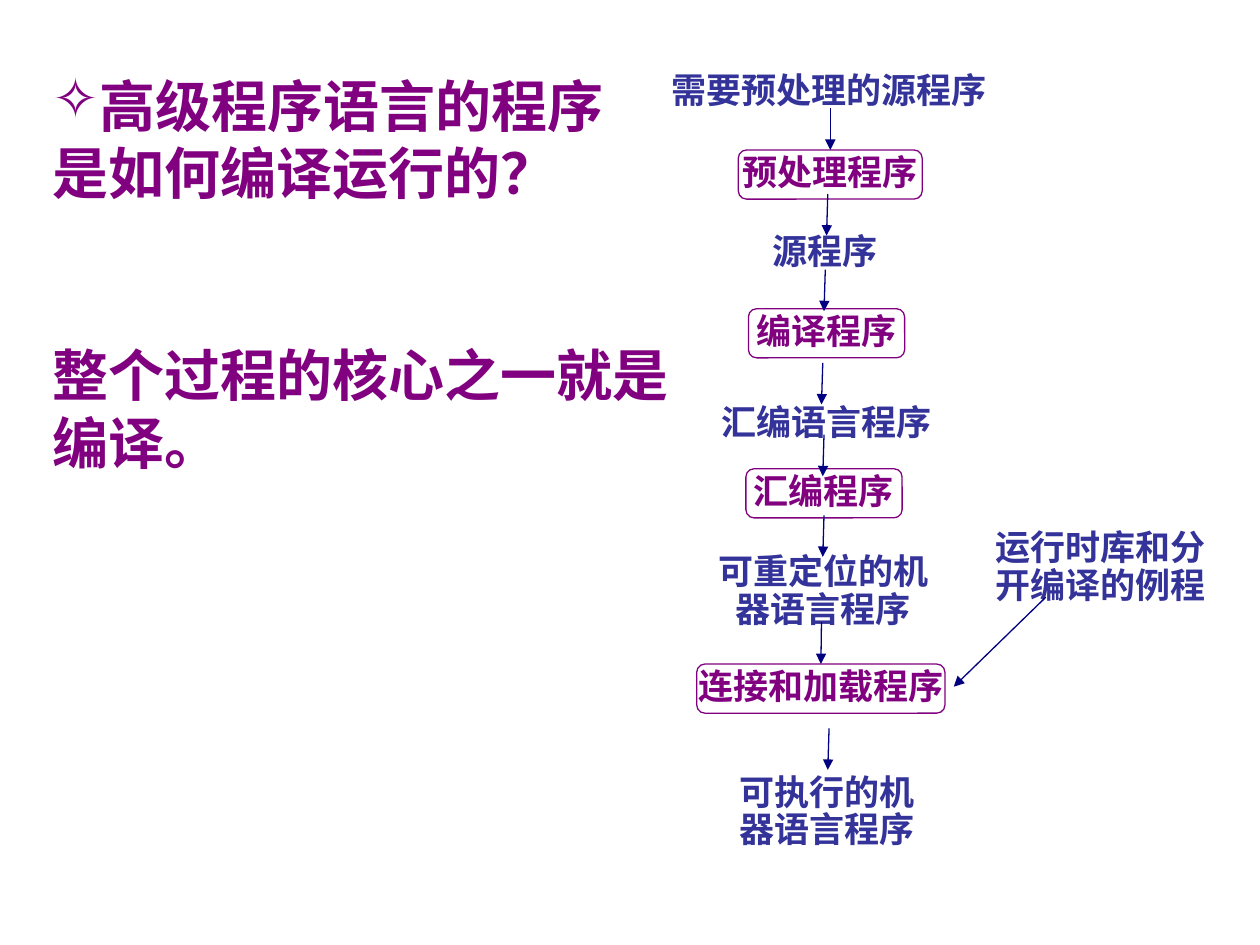
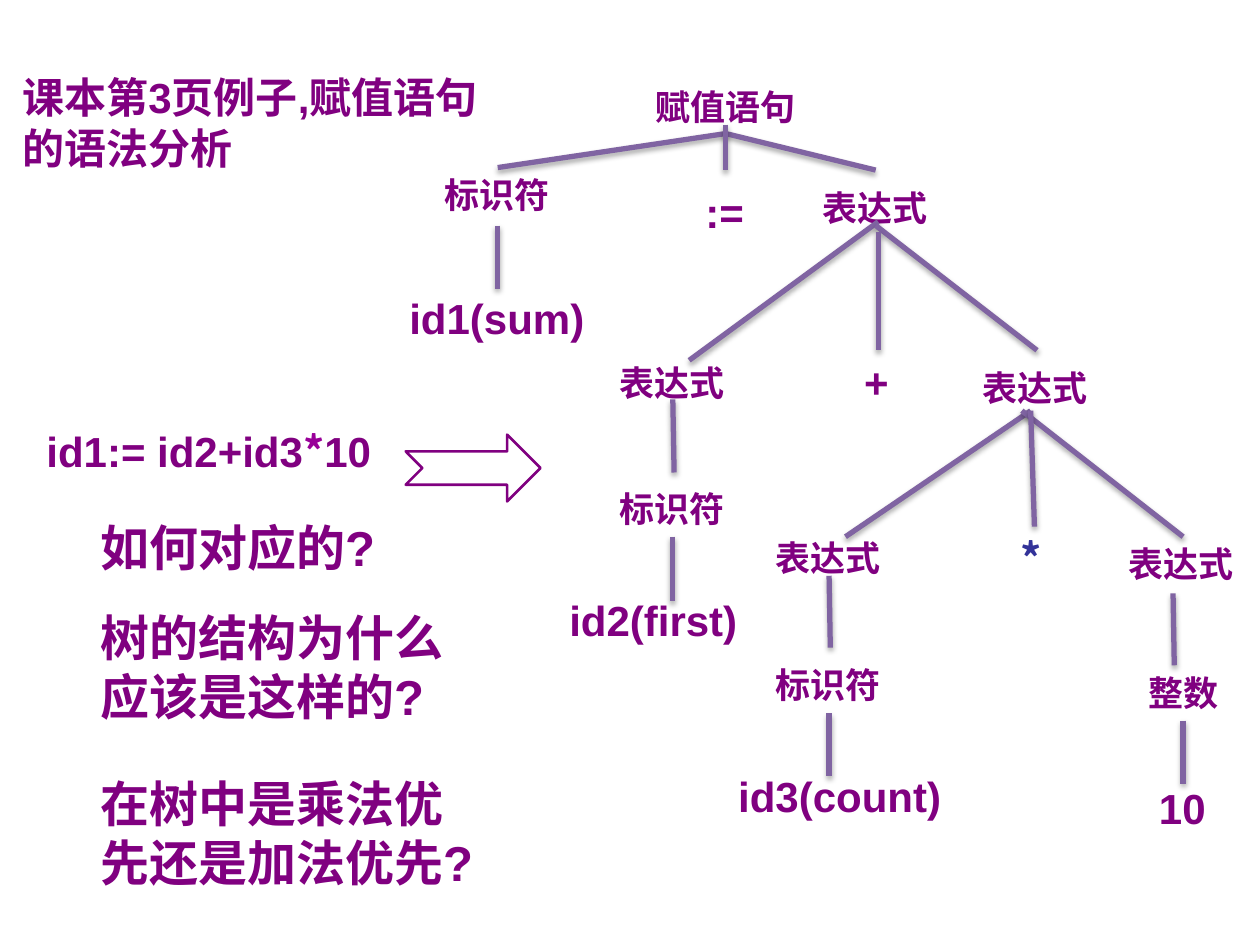
import lxml.etree
import pptx
import pptx.dml.color
import pptx.enum.shapes
import pptx.enum.text
import pptx.oxml.ns
import pptx.util

Inches = pptx.util.Inches
Pt = pptx.util.Pt
RGBColor = pptx.dml.color.RGBColor
MSO_SHAPE = pptx.enum.shapes.MSO_SHAPE
PP_ALIGN = pptx.enum.text.PP_ALIGN
qn = pptx.oxml.ns.qn

PURPLE = RGBColor(0x80, 0x00, 0x80)
VIOLET = RGBColor(0x99, 0x00, 0x99)
INDIGO = RGBColor(0x33, 0x33, 0x99)
NAVY = RGBColor(0x00, 0x00, 0x80)
BRANCH = RGBColor(0x80, 0x64, 0xA2)
WHITE = RGBColor(0xFF, 0xFF, 0xFF)
LATIN_FONT = "Arial"
CJK_FONT = "Noto Sans CJK SC"


class Deck:
    """Holds the presentation, its style and the slide being built."""

    def __init__(self):
        self.presentation = pptx.Presentation()
        self.presentation.slide_width = Inches(10)
        self.presentation.slide_height = Inches(7.5)
        self.slide = None

    def add_slide(self):
        self.slide = self.presentation.slides.add_slide(self.presentation.slide_layouts[6])

    def style(self, font, size, color, name=LATIN_FONT):
        font.size = Pt(size)
        font.bold = True
        font.name = name
        font.color.rgb = color

    def text(self, content, left, top, width, height, size=20, color=PURPLE,
             name=LATIN_FONT, wrap=True, centered=False):
        box = self.slide.shapes.add_textbox(Inches(left), Inches(top), Inches(width), Inches(height))
        frame = box.text_frame
        frame.text = content
        frame.word_wrap = wrap
        frame.auto_size = pptx.enum.text.MSO_AUTO_SIZE.SHAPE_TO_FIT_TEXT
        for paragraph in frame.paragraphs:
            if centered:
                self.center(paragraph)
            for run in paragraph.runs:
                self.style(run.font, size, color, name)
        return frame

    def center(self, paragraph):
        paragraph.alignment = PP_ALIGN.CENTER
        paragraph.line_spacing = 0.9

    def bullet(self, paragraph, character):
        properties = paragraph._p.get_or_add_pPr()
        color = lxml.etree.SubElement(properties, qn("a:buClr"))
        lxml.etree.SubElement(color, qn("a:srgbClr"), val=str(PURPLE))
        lxml.etree.SubElement(properties, qn("a:buChar"), char=character)

    def product(self, content, left, top, width, height=0.4, wrap=True):
        self.text(content, left, top, width, height, color=INDIGO, wrap=wrap, centered=True)

    def shape(self, kind, left, top, width, height, line_width):
        shape = self.slide.shapes.add_shape(
            kind, Inches(left), Inches(top), Inches(width), Inches(height))
        shape.shadow.inherit = False
        shape.line.color.rgb = PURPLE
        shape.line.width = Pt(line_width)
        return shape

    def tool(self, content, left, top, width):
        shape = self.shape(MSO_SHAPE.ROUNDED_RECTANGLE, left, top, width, 0.39, 0.75)
        shape.fill.solid()
        shape.fill.fore_color.rgb = WHITE
        frame = shape.text_frame
        frame.text = content
        frame.word_wrap = False
        frame.vertical_anchor = pptx.enum.text.MSO_ANCHOR.MIDDLE
        paragraph = frame.paragraphs[0]
        self.center(paragraph)
        self.style(paragraph.runs[0].font, 20, PURPLE)
        return shape

    def line(self, start, end, color, width):
        connector = self.slide.shapes.add_connector(
            pptx.enum.shapes.MSO_CONNECTOR.STRAIGHT, *map(Inches, start + end))
        connector.line.color.rgb = color
        connector.line.width = Pt(width)
        effects = lxml.etree.SubElement(connector._element.spPr, qn("a:effectLst"))
        return connector, effects

    def arrow(self, start, end, target=None):
        connector, _ = self.line(start, end, NAVY, 0.75)
        lxml.etree.SubElement(connector.line._get_or_add_ln(), qn("a:tailEnd"), type="triangle")
        if target is not None:
            connector.end_connect(target, 0)

    def branch(self, start, end):
        _, effects = self.line(start, end, BRANCH, 3)
        shadow = lxml.etree.SubElement(
            effects, qn("a:outerShdw"), blurRad=str(Pt(3.1)), dist=str(Pt(1.8)),
            dir="5400000", rotWithShape="0")
        color = lxml.etree.SubElement(shadow, qn("a:srgbClr"), val="000000")
        lxml.etree.SubElement(color, qn("a:alpha"), val="35000")


def build_compilation_flow(deck):
    deck.add_slide()
    question = deck.text(
        "高级程序语言的程序\n是如何编译运行的？\n整个过程的核心之一就是\n编译。",
        0.32, 0.52, 9.59, 4.17, size=32)
    deck.bullet(question.paragraphs[0], "✧")
    question.paragraphs[2].space_before = Pt(77)

    preprocessor = deck.tool("预处理程序", 5.86, 1.19, 1.46)
    deck.tool("编译程序", 5.94, 2.45, 1.24)
    deck.tool("汇编程序", 5.92, 3.72, 1.24)
    linker = deck.tool("连接和加载程序", 5.53, 5.27, 1.97)

    deck.product("需要预处理的源程序", 5.07, 0.53, 3.02)
    deck.product("源程序", 5.86, 1.81, 1.38)
    deck.product("汇编语言程序", 5.62, 3.17, 1.88, wrap=False)
    deck.product("可重定位的机器语言程序", 5.56, 4.35, 1.95, 0.7)
    deck.product("可执行的机器语言程序", 5.7, 6.1, 1.73, 0.7)
    deck.product("运行时库和分开编译的例程", 7.76, 4.16, 1.95, 0.7)

    for left, top, target in [
        (6.59, 0.86, preprocessor), (6.57, 1.54, None), (6.55, 2.14, None),
        (6.53, 2.88, None), (6.54, 3.45, None), (6.54, 4.09, None),
        (6.52, 4.94, linker), (6.58, 5.78, None),
    ]:
        deck.arrow((left, top), (left - 0.01, top + 0.33), target)
    deck.arrow((8.3, 4.74), (7.57, 5.45))


def build_syntax_tree(deck):
    deck.add_slide()
    deck.text("课本第3页例子,赋值语句的语法分析", 0.08, 0.52, 3.97, 0.91, size=24)

    statement = deck.text("", 0.27, 3.33, 3.16, 0.58).paragraphs[0]
    for content, color, name in [
        ("id1:= id2+id3", PURPLE, LATIN_FONT),
        ("*", VIOLET, CJK_FONT),
        ("10", PURPLE, LATIN_FONT),
    ]:
        run = statement.add_run()
        run.text = content
        deck.style(run.font, 24, color, name)

    for content, left, top, width in [
        ("赋值语句", 5.1, 0.63, 1.32), ("标识符", 3.43, 1.33, 1.04),
        ("表达式", 6.43, 1.43, 1.04), ("表达式", 4.82, 2.82, 1.04),
        ("表达式", 7.7, 2.86, 1.04), ("标识符", 4.82, 3.82, 1.04),
        ("表达式", 6.06, 4.21, 1.04), ("表达式", 8.86, 4.26, 1.04),
        ("标识符", 6.06, 5.22, 1.04), ("整数", 9.02, 5.28, 0.76),
    ]:
        deck.text(content, left, top, width, 0.44, wrap=False)

    for content, left, top, width in [
        (":=", 5.5, 1.43, 0.51), ("id1(sum)", 3.15, 2.27, 1.59),
        ("+", 6.76, 2.78, 0.39), ("id2(first)", 4.42, 4.67, 1.53),
        ("id3(count)", 5.76, 6.07, 1.81), ("10", 9.1, 6.16, 0.57),
    ]:
        deck.text(content, left, top, width, 0.5, size=24, wrap=False)
    deck.text("*", 8, 4.18, 0.37, 0.5, size=24, color=INDIGO, name=CJK_FONT, wrap=False)

    for start, end in [
        ((5.76, 1.06), (3.95, 1.33)), ((5.76, 1.06), (6.95, 1.35)),
        ((5.76, 0.99), (5.76, 1.35)), ((3.95, 1.79), (3.95, 2.29)),
        ((6.97, 1.76), (5.47, 2.86)), ((6.95, 1.79), (8.23, 2.78)),
        ((6.97, 1.84), (6.97, 2.78)), ((5.34, 3.17), (5.35, 3.75)),
        ((5.34, 4.26), (5.34, 4.77)), ((8.18, 3.26), (6.71, 4.26)),
        ((8.11, 3.26), (9.39, 4.26)), ((8.18, 3.26), (8.21, 4.18)),
        ((6.58, 4.57), (6.59, 5.14)), ((6.58, 5.66), (6.58, 6.16)),
        ((9.31, 4.71), (9.32, 5.28)), ((9.39, 5.72), (9.39, 6.22)),
    ]:
        deck.branch(start, end)

    deck.shape(MSO_SHAPE.NOTCHED_RIGHT_ARROW, 3.22, 3.45, 1.07, 0.53, 1.5).fill.background()

    for content, top, width, height in [
        ("如何对应的?", 4.06, 2.5, 0.57),
        ("树的结构为什么\n应该是这样的?", 4.77, 3.05, 1.04),
        ("在树中是乘法优先还是加法优先?", 6.09, 3.05, 1.04),
    ]:
        deck.text(content, 0.7, top, width, height, size=28)


def main():
    deck = Deck()
    build_compilation_flow(deck)
    build_syntax_tree(deck)
    deck.presentation.save("out.pptx")


if __name__ == "__main__":
    main()
